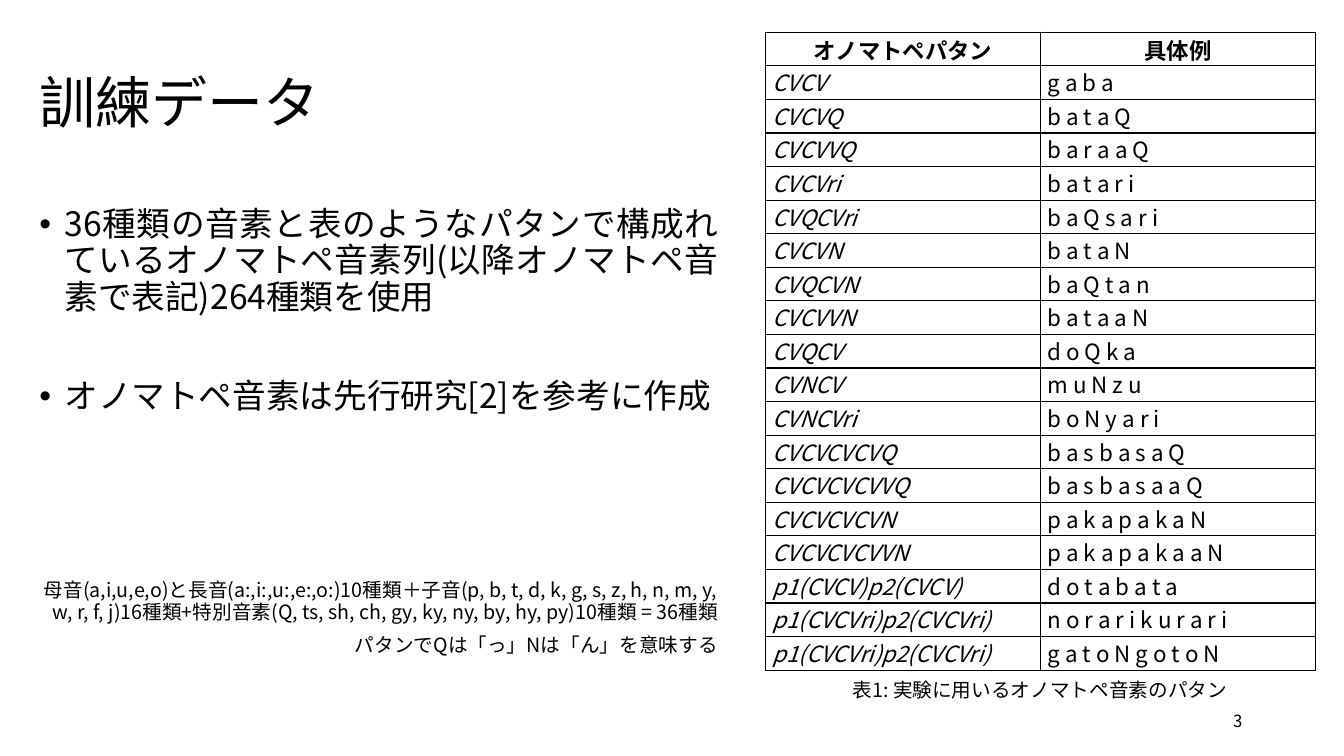
from dataclasses import dataclass

from lxml.etree import SubElement
from pptx import Presentation
from pptx.dml.color import RGBColor
from pptx.enum.text import MSO_ANCHOR as Anchor, MSO_AUTO_SIZE as AutoSize, PP_ALIGN as Align
from pptx.oxml import parse_xml
from pptx.oxml.ns import nsdecls, qn
from pptx.util import Inches, Pt


@dataclass(frozen=True)
class Theme:
    ink: str = "000000"
    paper: str = "FFFFFF"
    font: str = "Noto Sans CJK KR"
    body_font: str = "Noto Sans CJK JP"
    title: int = 40
    body: int = 24
    table: int = 16
    note: int = 14
    page: int = 12
    line_spacing: float = 0.9


THEME = Theme()

BULLETS = [
    "36種類の音素と表のようなパタンで構成れているオノマトペ音素列(以降オノマトペ音素で表記)264種類を使用",
    "オノマトペ音素は先行研究[2]を参考に作成",
]
NOTES = [
    "母音(a,i,u,e,o)と長音(a:,i:,u:,e:,o:)10種類＋子音(p, b, t, d, k, g, s, z, h, n, m, y, w, r, f, j)"
    "16種類+特別音素(Q, ts, sh, ch, gy, ky, ny, by, hy, py)10種類 = 36種類",
    "パタンでQは「っ」Nは「ん」を意味する",
]
HEADER = ("オノマトペパタン", "具体例")
PATTERNS = [
    ("CVCV", "g a b a"),
    ("CVCVQ", "b a t a Q"),
    ("CVCVVQ", "b a r a a Q"),
    ("CVCVri", "b a t a r i"),
    ("CVQCVri", "b a Q s a r i"),
    ("CVCVN", "b a t a N"),
    ("CVQCVN", "b a Q t a n"),
    ("CVCVVN", "b a t a a N"),
    ("CVQCV", "d o Q k a"),
    ("CVNCV", "m u N z u"),
    ("CVNCVri", "b o N y a r i"),
    ("CVCVCVCVQ", "b a s b a s a Q"),
    ("CVCVCVCVVQ", "b a s b a s a a Q"),
    ("CVCVCVCVN", "p a k a p a k a N"),
    ("CVCVCVCVVN", "p a k a p a k a a N"),
    ("p1(CVCV)p2(CVCV)", "d o t a b a t a"),
    ("p1(CVCVri)p2(CVCVri)", "n o r a r i k u r a r i"),
    ("p1(CVCVri)p2(CVCVri)", "g a t o N g o t o N"),
]


def place(shape, left, top, width, height):
    shape.left, shape.top = Inches(left), Inches(top)
    shape.width, shape.height = Inches(width), Inches(height)


def write(paragraph, text, size, align=Align.LEFT, font=THEME.font, bold=False, italic=False):
    paragraph.text = text
    paragraph.alignment = align
    style = paragraph.font
    style.size, style.bold, style.italic = Pt(size), bold, italic
    style.name = font
    style.color.rgb = RGBColor.from_string(THEME.ink)
    east_asian = SubElement(paragraph._p.pPr.find(qn("a:defRPr")), qn("a:ea"))
    east_asian.set("typeface", font)


def set_indent(paragraph, margin, bullet=None):
    """Hang the first line by the margin and set or remove the bullet."""
    properties = paragraph._p.get_or_add_pPr()
    properties.set("marL", str(Inches(margin)))
    properties.set("indent", str(-Inches(margin)))
    if bullet:
        mark = parse_xml(f'<a:buChar {nsdecls("a")} char="{bullet}"/>')
    else:
        mark = parse_xml(f'<a:buNone {nsdecls("a")}/>')
    properties.find(qn("a:defRPr")).addprevious(mark)


def fill_title(title):
    place(title, 0.29, 0.32, 11.5, 1.45)
    frame = title.text_frame
    frame.auto_size = AutoSize.NONE
    frame.vertical_anchor = Anchor.MIDDLE
    write(frame.paragraphs[0], "訓練データ", THEME.title)
    frame.paragraphs[0].line_spacing = THEME.line_spacing


def fill_body(body):
    place(body, 0.29, 2.01, 6.93, 4.9)
    frame = body.text_frame
    frame.auto_size = AutoSize.NONE
    frame.vertical_anchor = Anchor.TOP
    bullet_style = (THEME.body, Align.JUSTIFY, 0.25, "•")
    note_style = (THEME.note, Align.RIGHT, 0, None)
    items = [(text, bullet_style) for text in BULLETS] + [(text, note_style) for text in NOTES]
    gaps = (0, 45, 118, 9)
    for index, ((text, (size, align, margin, bullet)), gap) in enumerate(zip(items, gaps)):
        paragraph = frame.add_paragraph() if index else frame.paragraphs[0]
        write(paragraph, text, size, align, THEME.body_font)
        set_indent(paragraph, margin, bullet)
        paragraph.line_spacing = THEME.line_spacing
        paragraph.space_before = Pt(gap)


def add_label(slide, box, text, size, align, anchor=Anchor.TOP):
    frame = slide.shapes.add_textbox(*map(Inches, box)).text_frame
    frame.word_wrap = True
    frame.vertical_anchor = anchor
    write(frame.paragraphs[0], text, size, align)


def add_borders(cell):
    properties = cell._tc.get_or_add_tcPr()
    for index, side in enumerate(("lnL", "lnR", "lnT", "lnB")):
        properties.insert(index, parse_xml(
            f'<a:{side} {nsdecls("a")} w="{Pt(1)}"><a:solidFill>'
            f'<a:srgbClr val="{THEME.ink}"/></a:solidFill></a:{side}>'))


def add_pattern_table(slide):
    rows = [HEADER] + PATTERNS
    box = map(Inches, (7.59, 0.32, 5.46, 6.33))
    table = slide.shapes.add_table(len(rows), len(HEADER), *box).table
    table.first_row = table.horz_banding = False
    for row, texts in enumerate(rows):
        is_header = row == 0
        for column, text in enumerate(texts):
            cell = table.cell(row, column)
            cell.margin_left = cell.margin_right = Inches(0.07)
            cell.margin_top = cell.margin_bottom = 0
            cell.vertical_anchor = Anchor.BOTTOM if is_header else Anchor.TOP
            cell.fill.solid()
            cell.fill.fore_color.rgb = RGBColor.from_string(THEME.paper)
            add_borders(cell)
            write(cell.text_frame.paragraphs[0], text, THEME.table,
                  Align.CENTER if is_header else Align.LEFT,
                  bold=is_header, italic=not is_header and column == 0)


def main():
    deck = Presentation()
    deck.slide_width, deck.slide_height = Inches(13.33), Inches(7.5)
    slide = deck.slides.add_slide(deck.slide_layouts[1])
    fill_title(slide.shapes.title)
    fill_body(slide.placeholders[1])
    add_label(slide, (7.7, 6.68, 5.23, 0.34), "表1: 実験に用いるオノマトペ音素のパタン",
              THEME.note, Align.CENTER)
    add_pattern_table(slide)
    add_label(slide, (9.42, 6.95, 3, 0.4), "3", THEME.page, Align.RIGHT, Anchor.MIDDLE)
    deck.save("out.pptx")


if __name__ == "__main__":
    main()
